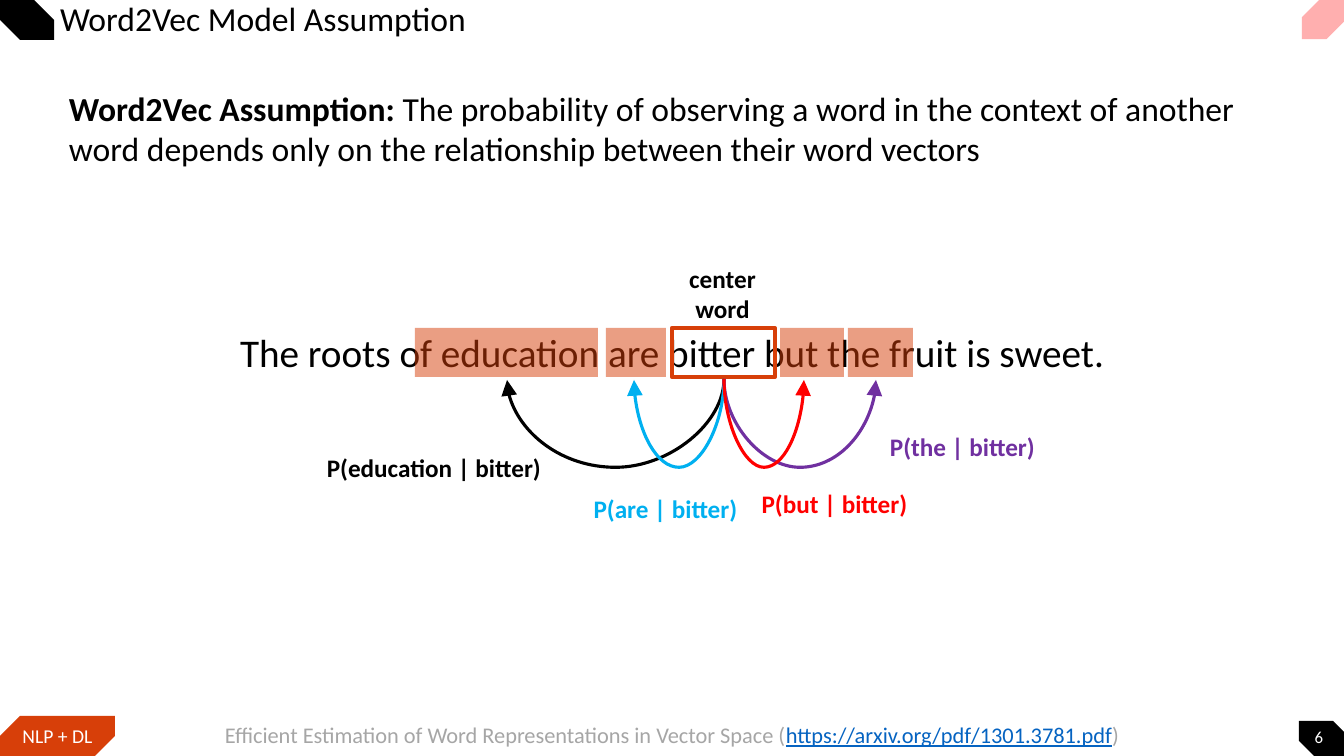
from lxml import etree
from pptx import Presentation
from pptx.dml.color import RGBColor
from pptx.enum.shapes import MSO_CONNECTOR, MSO_SHAPE
from pptx.enum.text import MSO_ANCHOR, PP_ALIGN
from pptx.oxml.ns import qn
from pptx.util import Emu, Pt

RECTANGLE, SNIPPED = MSO_SHAPE.RECTANGLE, MSO_SHAPE.SNIP_2_DIAG_RECTANGLE
CURVE = MSO_CONNECTOR.CURVE
LEFT, CENTER = PP_ALIGN.LEFT, PP_ALIGN.CENTER
TOP, MIDDLE = MSO_ANCHOR.TOP, MSO_ANCHOR.MIDDLE
FONT = "Calibri"
COLORS = {
    "black": "000000", "white": "FFFFFF", "orange": "D73F09", "pink": "FFAFAF",
    "gray": "A6A6A6", "link": "0563C1", "cyan": "00B0F0", "red": "FF0000",
    "purple": "7030A0",
}
SLIDE_W, SLIDE_H = 1344, 756
EMU_PER_PX = 914400 / 100.8


def px(length):
    return Emu(round(length * EMU_PER_PX))


def rgb(name):
    return RGBColor.from_string(COLORS[name])


def write(frame, *runs, size, color="black", bold=False, align=LEFT,
          anchor=TOP, insets=(10, 5, 10, 5), spacing=None):
    """Each run is a text or a pair of text and its own format."""
    frame.word_wrap = True
    frame.vertical_anchor = anchor
    (frame.margin_left, frame.margin_top,
     frame.margin_right, frame.margin_bottom) = map(px, insets)
    paragraph = frame.paragraphs[0]
    paragraph.alignment = align
    if spacing:
        paragraph.line_spacing = spacing
    for item in runs:
        text, own = item if isinstance(item, tuple) else (item, {})
        for index, line in enumerate(text.split("\n")):
            if index:
                paragraph.add_line_break()
            run = paragraph.add_run()
            run.text = line
            run.font.name = FONT
            run.font.size = Pt(size)
            run.font.bold = own.get("bold", bold)
            run.font.underline = own.get("underline", False)
            run.font.color.rgb = rgb(own.get("color", color))


def add_text(slide, box, *runs, **text_format):
    label = slide.shapes.add_textbox(*map(px, box))
    write(label.text_frame, *runs, **text_format)


def add_block(slide, box, kind=RECTANGLE, fill=None, line=None, snips=(), alpha=None):
    block = slide.shapes.add_shape(kind, *map(px, box))
    block.shadow.inherit = False
    for index, snip in enumerate(snips):
        block.adjustments[index] = snip
    if fill:
        block.fill.solid()
        block.fill.fore_color.rgb = rgb(fill)
    else:
        block.fill.background()
    if line:
        block.line.color.rgb = rgb(line)
        block.line.width = Pt(3)
    else:
        block.line.fill.background()
    if alpha:
        tint = block._element.spPr.find(qn("a:solidFill"))[0]
        etree.SubElement(tint, qn("a:alpha"), val=str(alpha * 1000))
    return block


def add_arc(slide, start_x, end_x, y, depth, color):
    """Arrow that hangs below y, drawn as a turned curve one px wide."""
    span = abs(end_x - start_x)
    left, top = (start_x + end_x - 1) / 2, y + (1 - span) / 2
    arc = slide.shapes.add_connector(
        CURVE, px(left), px(top), px(left + 1), px(top + span))
    arc.line.color.rgb = rgb(color)
    arc.line.width = Pt(2.25)
    properties = arc._element.spPr
    frame = properties.find(qn("a:xfrm"))
    if end_x < start_x:
        frame.set("rot", str(90 * 60000))
    else:
        frame.set("rot", str(270 * 60000))
        frame.set("flipH", "1")
    guides = properties.find(qn("a:prstGeom")).find(qn("a:avLst"))
    etree.SubElement(guides, qn("a:gd"), name="adj1", fmla=f"val {depth * 100000}")
    etree.SubElement(properties.find(qn("a:ln")), qn("a:tailEnd"),
                     type="triangle", w="lg", len="lg")
    etree.SubElement(properties, qn("a:effectLst"))


def add_header(slide, x, y, width):
    # Corner marks
    add_block(slide, (x, y, 54, 40), SNIPPED, "black", snips=(0, 0.5))
    add_block(slide, (x + width - 42, y, 42, 39), SNIPPED, "pink", snips=(0.44, 0))
    # Title
    title = slide.shapes.title
    title.left, title.top, title.width, title.height = map(px, (x, y + 1, 1141, 39))
    write(title.text_frame, "Word2Vec Model Assumption", size=24, anchor=MIDDLE,
          insets=(60, 5, 5, 5), spacing=0.9)


def add_footer(slide, x, y, width):
    # Course tag
    course = add_block(slide, (x, y, 115, 40), SNIPPED, "orange", snips=(0.5, 0))
    write(course.text_frame, "NLP + DL", size=14, color="white",
          align=CENTER, anchor=MIDDLE)
    # Page number
    add_block(slide, (x + width - 45, y + 5, 54, 40), SNIPPED, "black", snips=(0, 0.5))
    add_text(slide, (x + width - 45, y + 5, 40, 31), "6", size=12, color="white",
             align=CENTER, anchor=MIDDLE, insets=(0, 0, 0, 0))
    # Reference
    add_text(slide, (x + 87, y, 1170, 37),
             "Efficient Estimation of Word Representations in Vector Space (",
             ("https://arxiv.org/pdf/1301.3781.pdf", {"color": "link", "underline": True}),
             ")", size=16, color="gray", align=CENTER)


def add_assumption(slide, box):
    add_text(slide, box, ("Word2Vec Assumption: ", {"bold": True}),
             "The probability of observing a word in the context of another word "
             "depends only on the relationship between their word vectors", size=24)


def add_context_diagram(slide, x, y, width):
    # Sentence
    add_text(slide, (x, y + 65, width, 57),
             "The roots of education are bitter but the fruit is sweet.",
             size=28, align=CENTER)
    # Context words
    for left, word_width in ((259, 183), (450, 60), (624, 64), (692, 65)):
        add_block(slide, (x + left, y + 70, word_width, 49), fill="orange", alpha=50)
    # Center word
    add_block(slide, (x + 516, y + 70, 103, 49), line="orange")
    add_text(slide, (x + 516, y, 101, 72), "center\nword", size=18, bold=True, align=CENTER)
    # Probabilities: word, color, arrow end, label left, top and width
    probabilities = (
        ("education", "black", 351, 133, 189, 290),
        ("are", "cyan", 478, 381, 230, 257),
        ("the", "purple", 720, 678, 168, 257),
        ("but", "red", 648, 550, 225, 257),
    )
    for word, color, end, left, top, label_width in probabilities:
        add_arc(slide, x + 568, x + end, y + 121, 89, color)
        add_text(slide, (x + left, y + top, label_width, 40), f"P({word} | bitter)",
                 size=18, color=color, bold=True, align=CENTER)


def main():
    deck = Presentation()
    deck.slide_width, deck.slide_height = px(SLIDE_W), px(SLIDE_H)
    slide = deck.slides.add_slide(deck.slide_layouts[5])
    add_header(slide, 0, 0, SLIDE_W)
    add_footer(slide, 0, 716, SLIDE_W)
    add_context_diagram(slide, 156, 258, 1032)
    add_assumption(slide, (59, 83, 1225, 92))
    deck.save("out.pptx")


if __name__ == "__main__":
    main()
